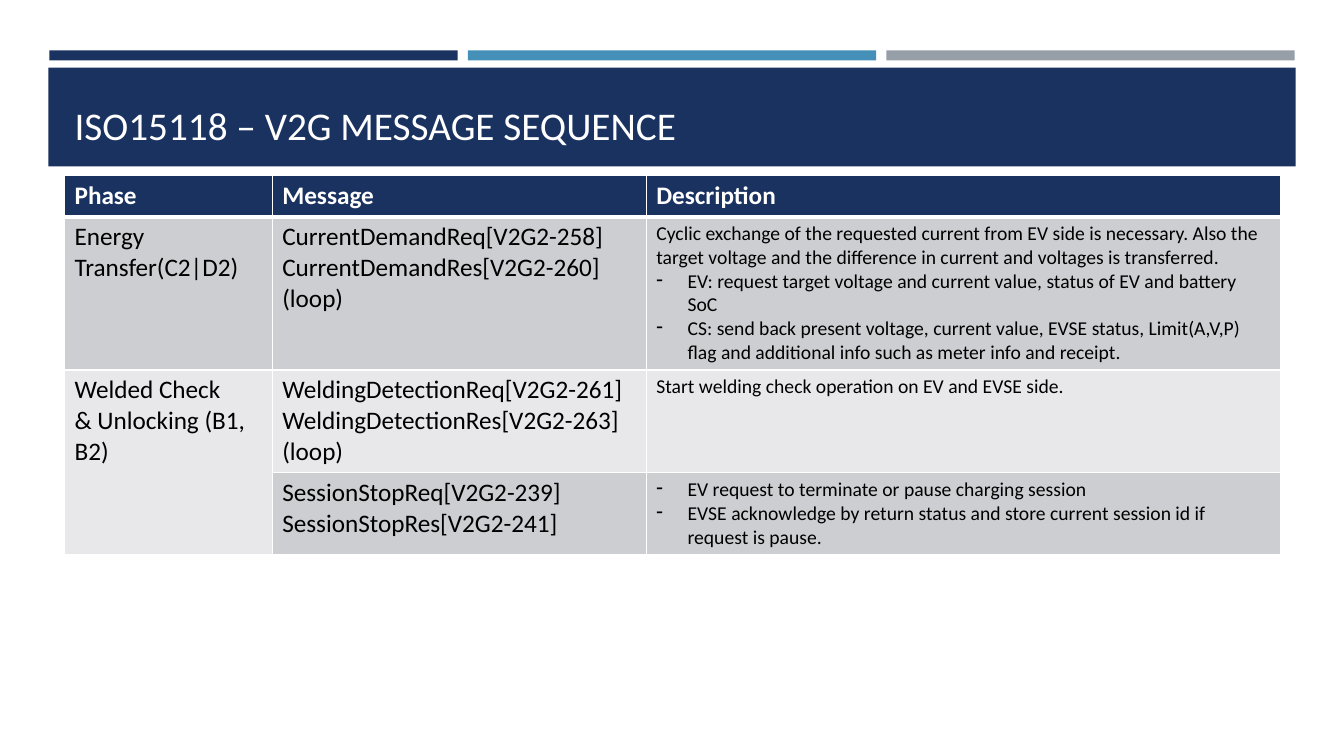
import pptx
import pptx.util
import pptx.dml.color
import pptx.enum.shapes
import pptx.enum.text
import pptx.oxml
import pptx.oxml.ns
from pptx.util import Inches

TITLE = "ISO15118 – V2G MESSAGE SEQUENCE"
HEADS = ["Phase", "Message", "Description"]
# Each cell is a list of paragraphs; a leading "- " marks a bullet
ROWS = [
    [["Energy Transfer(C2|D2)"],
     ["CurrentDemandReq[V2G2-258]", "CurrentDemandRes[V2G2-260] (loop)"],
     ["Cyclic exchange of the requested current from EV side is necessary. "
      "Also the target voltage and the difference in current and voltages is transferred.",
      "- EV: request target voltage and current value, status of EV and battery SoC",
      "- CS: send back present voltage, current value, EVSE status, Limit(A,V,P) "
      "flag and additional info such as meter info and receipt."]],
    [["Welded Check", "& Unlocking (B1, B2)"],
     ["WeldingDetectionReq[V2G2-261]", "WeldingDetectionRes[V2G2-263] (loop)"],
     ["Start welding check operation on EV and EVSE side."]],
    [[],
     ["SessionStopReq[V2G2-239]", "SessionStopRes[V2G2-241]"],
     ["- EV request to terminate or pause charging session",
      "- EVSE acknowledge by return status and store current session id if request is pause."]],
]
WIDTHS = [2.06, 3.71, 6.29]
HEIGHTS = [0.41, 1.52, 1.02, 0.8]
COLORS = {"navy": "1A3260", "blue": "4590B8", "gray": "969FA7",
          "white": "FFFFFF", "black": "000000", "dark": "CDCED2", "light": "E8E8EA"}
BANDS = ["dark", "light", "dark"]


def color(name):
    return pptx.dml.color.RGBColor.from_string(COLORS[name])


def write(frame, lines, size=18, ink="black", bold=False):
    for i, line in enumerate(lines):
        para = frame.paragraphs[0] if i == 0 else frame.add_paragraph()
        para.alignment = pptx.enum.text.PP_ALIGN.LEFT
        if line.startswith("- "):
            line = line[2:]
            props = para._p.get_or_add_pPr()
            props.set("marL", str(Inches(0.31)))
            props.set("indent", str(-Inches(0.31)))
            mark = pptx.oxml.parse_xml(
                f'<a:buChar {pptx.oxml.ns.nsdecls("a")} char="-"/>')
            props.append(mark)
        run = para.add_run()
        run.text = line
        run.font.name = "Calibri"
        run.font.size = pptx.util.Pt(size)
        run.font.bold = bold
        run.font.color.rgb = color(ink)


def bar(left, top, width, height, fill):
    box = slide.shapes.add_shape(
        pptx.enum.shapes.MSO_SHAPE.RECTANGLE,
        Inches(left), Inches(top), Inches(width), Inches(height))
    box.shadow.inherit = False
    box.fill.solid()
    box.fill.fore_color.rgb = color(fill)
    box.line.fill.background()
    return box


def edge(cell, base):
    props = cell._tc.get_or_add_tcPr()
    for side in "LRTB":
        width = pptx.util.Pt(base if side == "B" else 1)
        props.append(pptx.oxml.parse_xml(
            f'<a:ln{side} {pptx.oxml.ns.nsdecls("a")} w="{width}"><a:solidFill>'
            f'<a:srgbClr val="{COLORS["white"]}"/></a:solidFill></a:ln{side}>'))


deck = pptx.Presentation()
deck.slide_width, deck.slide_height = Inches(13.33), Inches(7.5)
slide = deck.slides.add_slide(deck.slide_layouts[5])

# Bars and title band
for i, fill in enumerate(["navy", "blue", "gray"]):
    bar(0.49 + 4.15 * i, 0.5, 4.05, 0.1, fill)
band = bar(0.48, 0.67, 12.37, 0.98, "navy")

# Title, raised above the band
title = slide.shapes.title
title.left, title.top = Inches(0.64), Inches(0.77)
title.width, title.height = Inches(12.06), Inches(0.75)
title.text_frame.auto_size = pptx.enum.text.MSO_AUTO_SIZE.NONE
title.text_frame.vertical_anchor = pptx.enum.text.MSO_ANCHOR.BOTTOM
write(title.text_frame, [TITLE], size=28, ink="white")
band._element.addnext(title._element)

# Table
table = slide.shapes.add_table(
    len(HEIGHTS), len(WIDTHS), Inches(0.64), Inches(1.74),
    Inches(sum(WIDTHS)), Inches(sum(HEIGHTS))).table
table.horz_banding = False
for col, width in zip(table.columns, WIDTHS):
    col.width = Inches(width)
for row, height in zip(table.rows, HEIGHTS):
    row.height = Inches(height)
table.cell(2, 0).merge(table.cell(3, 0))

for r, row in enumerate([[[head] for head in HEADS]] + ROWS):
    for c, lines in enumerate(row):
        cell = table.cell(r, c)
        edge(cell, 3 if r == 0 else 1)
        cell.fill.solid()
        cell.fill.fore_color.rgb = color("navy" if r == 0 else BANDS[r - 1])
        write(cell.text_frame, lines, size=14 if r and c == 2 else 18,
              ink="black" if r else "white", bold=r == 0)

deck.save("out.pptx")
